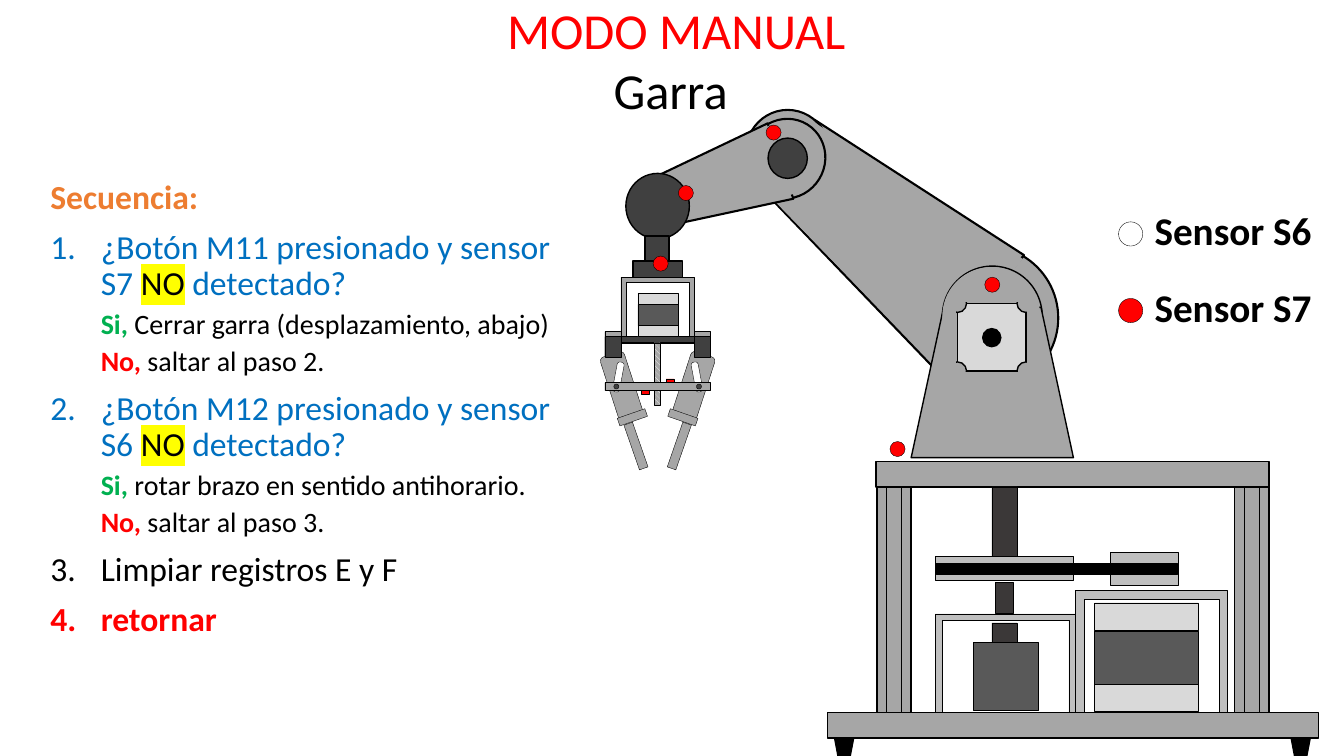
from dataclasses import dataclass
from typing import Any

from lxml.etree import SubElement
from pptx import Presentation
from pptx.dml.color import RGBColor
from pptx.enum.dml import MSO_PATTERN
from pptx.enum.shapes import MSO_SHAPE as Shape
from pptx.enum.text import MSO_ANCHOR as Anchor, PP_ALIGN as Align
from pptx.oxml.ns import qn
from pptx.util import Cm, Pt

COLORS = {
    "black": "000000", "white": "FFFFFF", "red": "FF0000", "orange": "ED7D31",
    "blue": "0070C0", "green": "00B050", "yellow": "FFFF00", "metal": "A6A6A6",
    "silver": "BFBFBF", "light": "D9D9D9", "motor": "595959", "dark": "404040",
    "shaft": "3B3838",
}
FONT = "Calibri"
UNIT = 2.54  # centimetres per drawing unit of the robot
TRAPEZOID = Shape.FLOWCHART_MANUAL_OPERATION


def color(name):
    return RGBColor.from_string(COLORS[name])


@dataclass
class Region:
    """A box whose corner is in cm and whose parts are in drawing units."""
    shapes: Any
    left: float
    top: float

    def draw(self, kind, x, y, width, height, fill, line="black", weight=0.25,
             rotation=0, adjust=None):
        shape = self.shapes.add_shape(
            kind, Cm(self.left + x * UNIT), Cm(self.top + y * UNIT),
            Cm(width * UNIT), Cm(height * UNIT))
        shape.shadow.inherit = False
        shape.rotation = rotation
        if adjust is not None:
            shape.adjustments[0] = adjust
        if fill:
            shape.fill.solid()
            shape.fill.fore_color.rgb = color(fill)
        else:
            shape.fill.background()
        if line:
            shape.line.color.rgb = color(line)
            shape.line.width = Pt(weight)
        else:
            shape.line.fill.background()
        return shape

    def centered(self, kind, x, y, width, height, *args, **options):
        return self.draw(kind, x - width / 2, y - height / 2, width, height,
                         *args, **options)

    def sensor(self, x, y):
        self.draw(Shape.OVAL, x, y, 0.15, 0.15, "red")


def add_text_frame(slide, left, top, width, height):
    box = slide.shapes.add_textbox(Cm(left), Cm(top), Cm(width), Cm(height))
    box.text_frame.word_wrap = True
    return box.text_frame


def add_run(paragraph, text, color_name="black", bold=False, highlight=None):
    run = paragraph.add_run()
    run.text = text
    run.font.color.rgb = color(color_name)
    run.font.bold = bold
    if highlight:
        mark = SubElement(run.font._element, qn("a:highlight"))
        SubElement(mark, qn("a:srgbClr"), val=COLORS[highlight])


def set_font(paragraph, size):
    paragraph.font.name = FONT
    paragraph.font.size = Pt(size)


def draw_title(slide, left, top, width, height):
    frame = add_text_frame(slide, left, top, width, height)
    frame.vertical_anchor = Anchor.BOTTOM
    paragraph = frame.paragraphs[0]
    paragraph.alignment = Align.CENTER
    set_font(paragraph, 36)
    add_run(paragraph, "MODO MANUAL", "red")
    paragraph.add_line_break()
    add_run(paragraph, "Garra ")


def draw_sequence(slide, left, top, width, height):
    frame = add_text_frame(slide, left, top, width, height)
    heading = frame.paragraphs[0]
    heading.line_spacing = 0.9
    set_font(heading, 24)
    add_run(heading, "Secuencia:", "orange", True)

    def add_item(runs, numbered):
        paragraph = frame.add_paragraph()
        paragraph.level = 0 if numbered else 1
        paragraph.line_spacing = 0.9
        paragraph.space_before = Pt(10 if numbered else 5)
        properties = paragraph._p.get_or_add_pPr()
        properties.set("marL", str(Cm(1.27)))
        properties.set("indent", str(-Cm(1.27) if numbered else 0))
        if numbered:
            SubElement(properties, qn("a:buFont"), typeface="+mj-lt")
            SubElement(properties, qn("a:buAutoNum"), type="arabicPeriod")
        else:
            SubElement(properties, qn("a:buNone"))
        set_font(paragraph, 24 if numbered else 20)
        for run in runs:
            add_run(paragraph, *run)

    questions = [
        ("¿Botón M11 presionado y sensor S7 ",
         "Cerrar garra (desplazamiento, abajo)", "saltar al paso 2."),
        ("¿Botón M12 presionado y sensor S6 ",
         "rotar brazo en sentido antihorario.", "saltar al paso 3."),
    ]
    for question, yes, no in questions:
        add_item([(question, "blue"), ("NO", "black", False, "yellow"),
                  (" detectado?", "blue")], True)
        add_item([("Si, ", "green", True), (yes,)], False)
        add_item([("No, ", "red", True), (no,)], False)
    add_item([("Limpiar registros E y F",)], True)
    add_item([("retornar", "red", True)], True)


def draw_legend(slide, left, top):
    region = Region(slide.shapes, left, top)
    for row, (label, fill) in enumerate([("Sensor S6", None), ("Sensor S7", "red")]):
        y = row * 0.76
        region.draw(Shape.OVAL, 0, y + 0.15, 0.24, 0.24, fill)
        frame = add_text_frame(slide, left + 0.32, top + y * UNIT, 5.13, 1.27)
        paragraph = frame.paragraphs[0]
        paragraph.alignment = Align.CENTER
        paragraph.line_spacing = 0.9
        set_font(paragraph, 28)
        add_run(paragraph, label, bold=True)


def draw_upper_arm(region):
    region.draw(Shape.OVAL, 2.07, 1.44, 1.43, 1.43, "metal", weight=1.5)
    region.draw(TRAPEZOID, 1.04, 0.07, 1.43, 2.46, "metal", weight=1.5, rotation=129.5)
    region.draw(Shape.OVAL, 0.4, 0.09, 0.83, 0.85, "metal", weight=1.5)
    region.draw(TRAPEZOID, 1.08, 0.08, 1.35, 2.46, "metal", "metal", 1.5, 129.5)


def draw_shoulder(region):
    region.draw(Shape.ROUNDED_RECTANGLE, 0.35, 0.64, 0.99, 1.04, "metal", weight=1, adjust=0.5)
    region.draw(TRAPEZOID, 0.04, 1.05, 1.61, 1.49, "metal", weight=1, rotation=180)
    region.draw(Shape.ROUNDED_RECTANGLE, 0.35, 0.65, 0.97, 0.99, "metal", None, adjust=0.5)
    region.draw(Shape.RECTANGLE, 0.5, 1.01, 0.68, 0.67, "light", weight=1)
    region.draw(Shape.OVAL, 0.75, 1.26, 0.18, 0.18, "black", weight=1)
    for x, side in ((0.5, -1), (1.18, 1)):  # notched corners of the plate
        for y, end in ((1.01, -1), (1.68, 1)):
            region.centered(Shape.OVAL, x, y, 0.18, 0.18, "metal", weight=1)
            region.centered(Shape.RECTANGLE, x - side * 0.06, y + end * 0.06,
                            0.22, 0.08, "metal", "metal", 1)
            region.centered(Shape.RECTANGLE, x + side * 0.06, y - end * 0.04,
                            0.08, 0.23, "metal", "metal", 1)
    region.sensor(0.77, 0.75)


def draw_forearm(region):
    region.draw(Shape.OVAL, 1.4, 0.19, 0.8, 0.77, "metal", weight=1.5, rotation=301.7)
    region.draw(TRAPEZOID, 0.71, 0.14, 0.79, 1.35, "metal", weight=1.5, rotation=71.2)
    region.draw(TRAPEZOID, 0.77, 0.13, 0.7, 1.36, "metal", "metal", 1.5, 70.5)
    region.draw(Shape.OVAL, 1.62, 0.37, 0.39, 0.4, "dark", weight=1)
    region.sensor(1.6, 0.24)


def draw_gripper(region):
    axis = 0.525
    for side in (-1, 1):
        region.centered(Shape.ROUNDED_RECTANGLE, axis + side * 0.36, 2.825, 0.25, 0.65,
                        "metal", rotation=side * 18)
        region.centered(Shape.ROUNDED_RECTANGLE, axis + side * 0.39, 2.74, 0.07, 0.3,
                        "white", rotation=-side * 10.6, adjust=0.4)
        region.centered(Shape.RECTANGLE, axis + side * 0.25, 3.14, 0.29, 0.08,
                        "metal", rotation=side * 19.2)
        region.centered(Shape.RECTANGLE, axis + side * 0.215, 3.425, 0.09, 0.47,
                        "metal", rotation=side * 19.2)
        region.centered(Shape.RECTANGLE, axis + side * 0.42, 2.315, 0.21, 0.05, "metal")
    region.draw(Shape.OVAL, 0.21, 0.72, 0.63, 0.65, "dark", weight=1)
    region.draw(Shape.RECTANGLE, 0.4, 1.34, 0.24, 0.25, "dark", weight=1)
    region.draw(Shape.RECTANGLE, 0.28, 1.59, 0.49, 0.2, "dark", weight=1)
    region.draw(Shape.FRAME, 0.16, 1.75, 0.73, 0.65, "metal", adjust=0.08)
    region.draw(Shape.RECTANGLE, 0.16, 2.34, 0.73, 0.06, "dark")
    for y, height, fill in ((2.02, 0.21, "motor"), (1.91, 0.11, "light"), (2.23, 0.11, "light")):
        region.draw(Shape.RECTANGLE, 0.33, y, 0.4, height, fill)
    screw = region.draw(Shape.RECTANGLE, 0.49, 2.4, 0.06, 0.62, "metal")
    screw.fill.patterned()
    screw.fill.pattern = MSO_PATTERN.WIDE_DOWNWARD_DIAGONAL
    screw.fill.fore_color.rgb = color("white")
    screw.fill.back_color.rgb = color("metal")
    region.draw(Shape.RECTANGLE, 0.61, 2.76, 0.08, 0.04, "red")
    region.centered(Shape.RECTANGLE, axis, 2.835, 1.05, 0.08, "metal")
    for side in (-1, 1):
        region.centered(Shape.RECTANGLE, axis + side * 0.445, 2.44, 0.16, 0.2, "dark")
        region.centered(Shape.OVAL, axis + side * 0.41, 2.835, 0.05, 0.05, "dark")
    region.draw(Shape.RECTANGLE, 0.36, 2.87, 0.08, 0.04, "red")
    region.sensor(0.73, 0.84)
    region.sensor(0.48, 1.54)


def draw_base(region):
    region.sensor(0.83, 0.38)
    region.draw(Shape.FRAME, 1.28, 2.09, 1.39, 1.09, "silver", adjust=0.06)
    region.draw(Shape.FRAME, 2.67, 1.86, 1.51, 1.38, "silver", adjust=0.06)
    region.draw(Shape.RECTANGLE, 0.69, 0.58, 3.9, 0.25, "metal", weight=1)
    region.draw(Shape.RECTANGLE, 0.21, 3.07, 4.87, 0.25, "metal", weight=1)
    for column, foot in ((0.87, 0.28), (4.42, 4.81)):
        for width in (0.34, 0.15):
            region.centered(Shape.RECTANGLE, column, 1.95, width, 2.24, "metal", weight=1)
        region.draw(TRAPEZOID, foot, 3.32, 0.19, 0.2, "black", weight=1)
    for y, height, fill in ((2.26, 0.54, "motor"), (1.98, 0.27, "light"), (2.79, 0.27, "light")):
        region.draw(Shape.RECTANGLE, 2.86, y, 1.03, height, fill)
    region.draw(Shape.RECTANGLE, 1.66, 2.37, 0.64, 0.68, "motor")
    region.draw(Shape.RECTANGLE, 1.28, 1.52, 1.37, 0.24, "silver")
    region.draw(Shape.RECTANGLE, 3.02, 1.48, 0.67, 0.33, "silver")
    region.draw(Shape.RECTANGLE, 1.29, 1.59, 2.39, 0.11, "black", weight=1)
    for y, width, height in ((0.83, 0.25, 0.69), (2.18, 0.25, 0.19), (1.78, 0.18, 0.3)):
        region.centered(Shape.RECTANGLE, 1.965, y + height / 2, width, height, "shaft")


def main():
    presentation = Presentation()
    presentation.slide_width, presentation.slide_height = Cm(33.87), Cm(19.05)
    slide = presentation.slides.add_slide(presentation.slide_layouts[6])
    draw_title(slide, 1.68, 0.13, 30.73, 3.02)
    draw_sequence(slide, 1.02, 4.42, 13.74, 12.75)
    for draw_part, left, top in (
            (draw_upper_arm, 17.78, 2.54), (draw_shoulder, 22.86, 5.08),
            (draw_forearm, 15.24, 2.54), (draw_gripper, 15.24, 2.54),
            (draw_base, 20.32, 10.16)):
        draw_part(Region(slide.shapes, left, top))
    draw_legend(slide, 28.19, 5.21)
    presentation.save("out.pptx")


if __name__ == "__main__":
    main()
